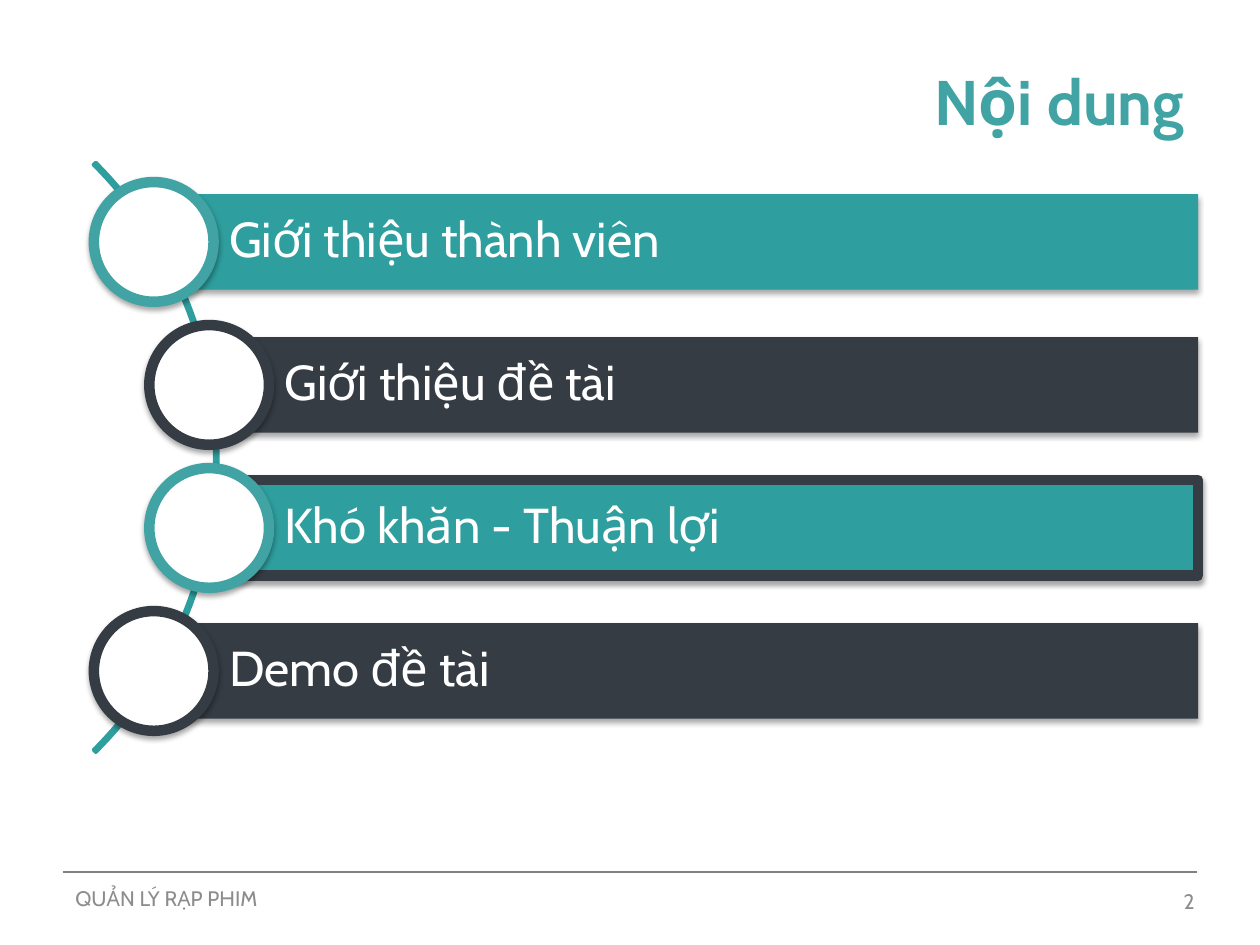
from lxml.etree import SubElement
from pptx import Presentation
from pptx.dml.color import RGBColor
from pptx.enum.shapes import MSO_CONNECTOR as Connector, MSO_SHAPE as Shape
from pptx.enum.text import MSO_ANCHOR as Anchor, PP_ALIGN as Align
from pptx.oxml.ns import qn
from pptx.util import Inches, Pt

FONT = "Cabin"
TEAL, LIGHT_TEAL, DARK = "2E9E9E", "41A3A3", "353C44"
WHITE, GREY, RULE_GREY = "FFFFFF", "8C8C8C", "808080"

# Agenda geometry, in inches
BAR_HEIGHT, BAR_RIGHT = 0.76, 9.51
CIRCLE_SIZE = 0.95
FIRST_CENTER, ROW_STEP = 1.92, 1.135
OUTER_X, INNER_X = 1.22, 1.66

# Text, circle centre, bar fill, bar outline, circle outline
AGENDA = [
    ("Giới thiệu thành viên", OUTER_X, TEAL, None, LIGHT_TEAL),
    ("Giới thiệu đề tài", INNER_X, DARK, None, DARK),
    ("Khó khăn - Thuận lợi", INNER_X, TEAL, DARK, LIGHT_TEAL),
    ("Demo đề tài", OUTER_X, DARK, None, DARK),
]


def rgb(color):
    return RGBColor.from_string(color)


def place(shape, left, top, width, height):
    shape.left, shape.top = Inches(left), Inches(top)
    shape.width, shape.height = Inches(width), Inches(height)


def write(shape, text, size, color, align=Align.LEFT, bold=False):
    frame = shape.text_frame
    frame.word_wrap = True
    frame.vertical_anchor = Anchor.MIDDLE
    para = frame.paragraphs[0]
    para.alignment = align
    run = para.add_run()
    run.text = text
    font = run.font
    font.name, font.size, font.bold = FONT, Pt(size), bold
    font.color.rgb = rgb(color)


def add_shape(slide, kind, box, fill=None, line=None, weight=6):
    shape = slide.shapes.add_shape(kind, *map(Inches, box))
    shape.shadow.inherit = False
    if fill:
        shape.fill.solid()
        shape.fill.fore_color.rgb = rgb(fill)
    else:
        shape.fill.background()
    if line:
        shape.line.color.rgb = rgb(line)
        shape.line.width = Pt(weight)
    else:
        shape.line.fill.background()
    return shape


def add_shadow(shape):
    effects = shape.element.spPr.find(qn("a:effectLst"))
    shadow = SubElement(effects, qn("a:outerShdw"), blurRad=str(Pt(3.1)),
                        dist=str(Pt(1.8)), dir="5400000", rotWithShape="0")
    color = SubElement(shadow, qn("a:srgbClr"), val="000000")
    SubElement(color, qn("a:alpha"), val="35000")


def add_agenda_row(slide, center_y, text, center_x, fill, outline, ring):
    # Bar starts at the centre of its circle
    bar = add_shape(slide, Shape.RECTANGLE,
                    (center_x, center_y - BAR_HEIGHT / 2,
                     BAR_RIGHT - center_x, BAR_HEIGHT), fill, outline)
    add_shadow(bar)
    frame = bar.text_frame
    frame.margin_left = Inches(0.6)
    frame.margin_top = frame.margin_right = frame.margin_bottom = Inches(0.08)
    write(bar, text, 28, WHITE)
    frame.paragraphs[0].line_spacing = 0.9

    circle = add_shape(slide, Shape.OVAL,
                       (center_x - CIRCLE_SIZE / 2, center_y - CIRCLE_SIZE / 2,
                        CIRCLE_SIZE, CIRCLE_SIZE), WHITE, ring)
    add_shadow(circle)


def add_arc(slide):
    arc = add_shape(slide, Shape.BLOCK_ARC, (-4.89, 0.32, 6.62, 6.62),
                    line=TEAL, weight=2)
    for index, value in enumerate((189, 27, 0.004)):
        arc.adjustments[index] = value


def add_footer(slide):
    rule = slide.shapes.add_connector(
        Connector.STRAIGHT, Inches(0.5), Inches(6.92), Inches(9.5), Inches(6.92))
    rule.line.color.rgb = rgb(RULE_GREY)
    rule.line.width = Pt(0.75)
    SubElement(rule.element.spPr, qn("a:effectLst"))
    for text, box, align in (
            ("QUẢN LÝ RẠP PHIM", (0.5, 6.93, 6.67, 0.4), Align.LEFT),
            ("2", (7.25, 6.95, 2.33, 0.4), Align.RIGHT)):
        label = slide.shapes.add_textbox(*map(Inches, box))
        write(label, text, 12, GREY, align)


def main():
    deck = Presentation()
    deck.slide_width, deck.slide_height = Inches(10), Inches(7.5)
    slide = deck.slides.add_slide(deck.slide_layouts[5])

    # Title
    title = slide.shapes.title
    place(title, 0.5, 0.17, 9, 1.25)
    write(title, "Nội dung", 36, LIGHT_TEAL, Align.RIGHT, bold=True)

    add_footer(slide)

    # Agenda along the arc
    add_arc(slide)
    for index, row in enumerate(AGENDA):
        add_agenda_row(slide, FIRST_CENTER + index * ROW_STEP, *row)

    deck.save("out.pptx")


if __name__ == "__main__":
    main()
